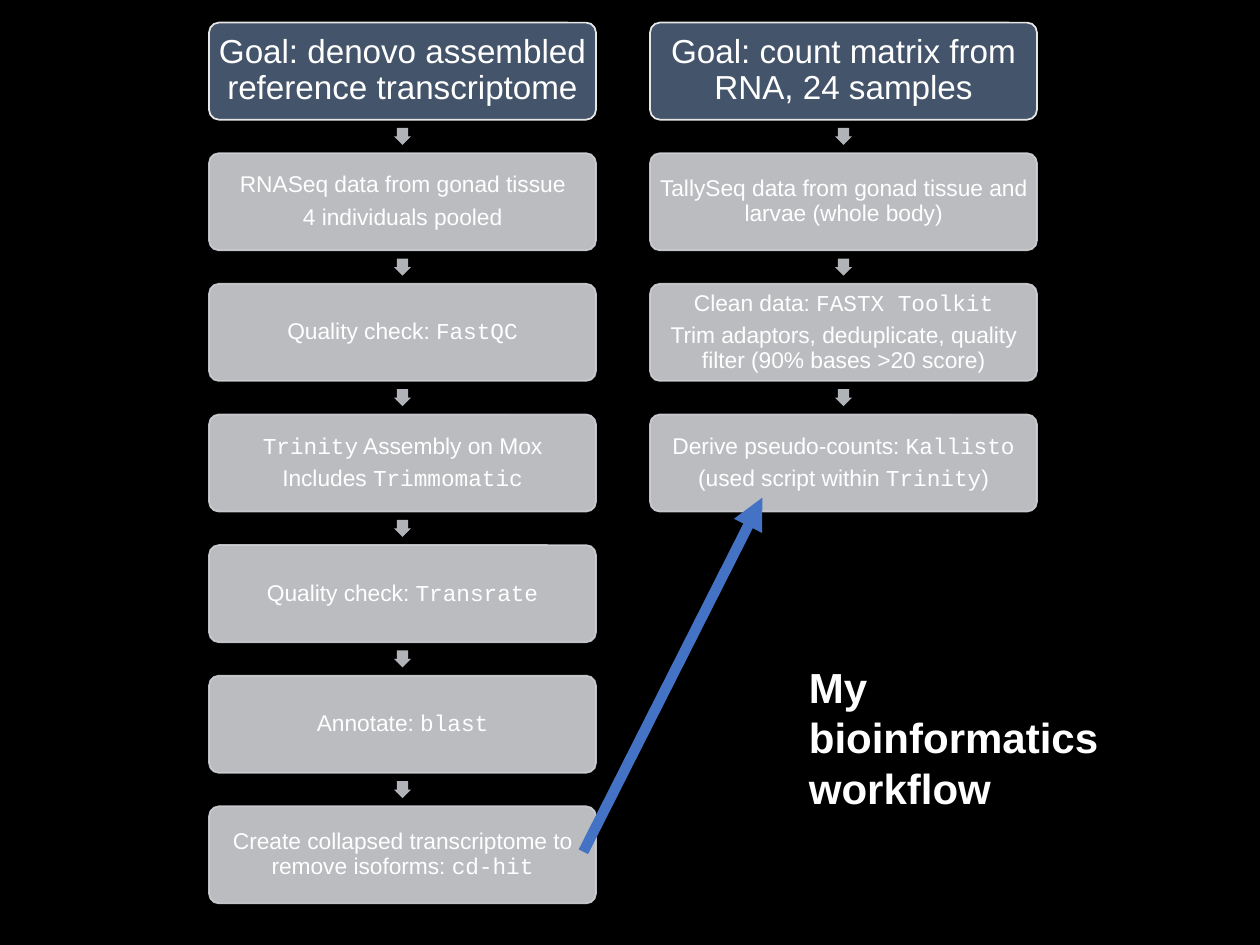
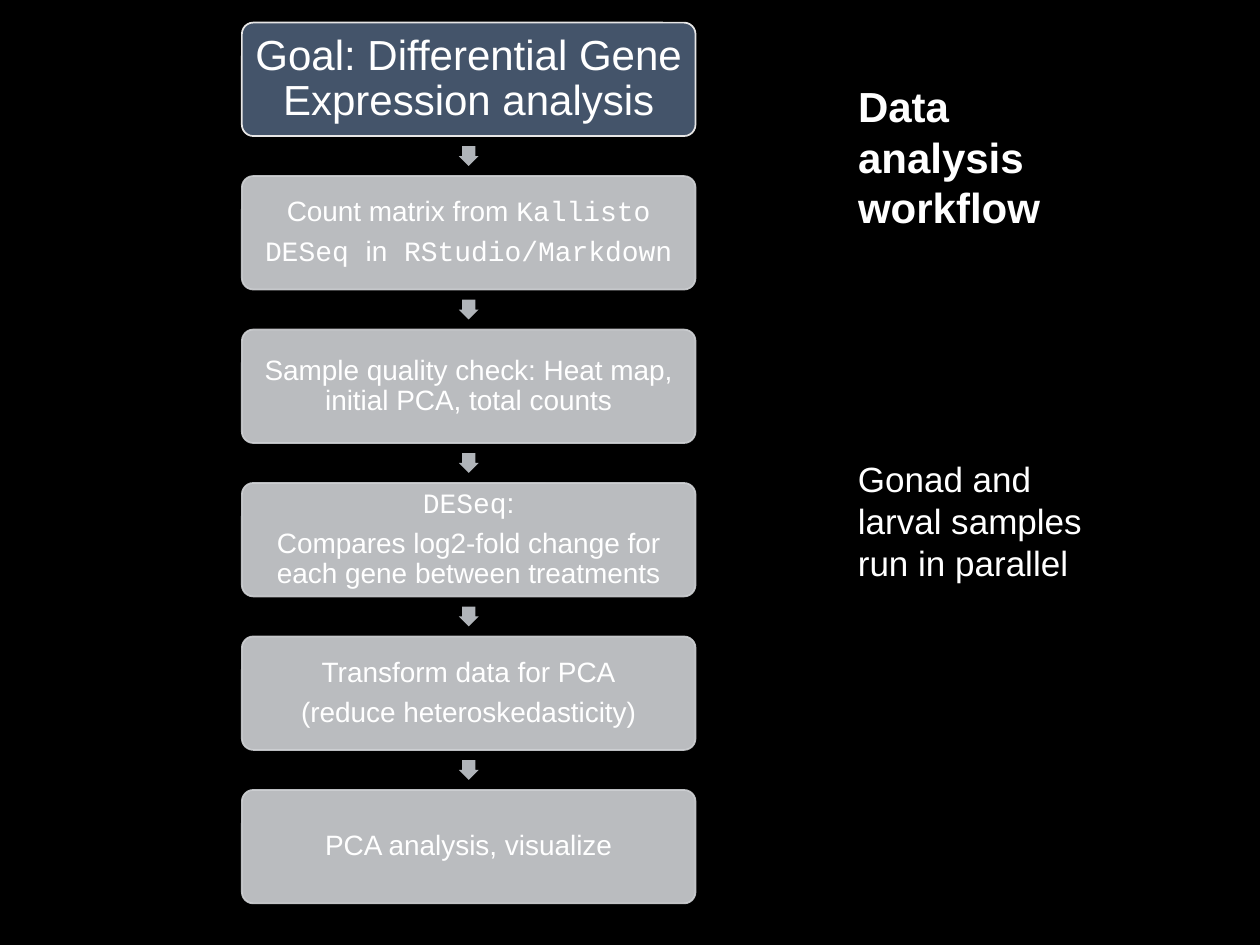
from lxml.etree import SubElement
from pptx import Presentation
from pptx.dml.color import RGBColor
from pptx.enum.shapes import MSO_CONNECTOR, MSO_SHAPE
from pptx.enum.text import MSO_ANCHOR, MSO_AUTO_SIZE, PP_ALIGN
from pptx.oxml.ns import qn
from pptx.util import Inches, Pt

BLACK = RGBColor(0x00, 0x00, 0x00)
WHITE = RGBColor(0xFF, 0xFF, 0xFF)
GOAL_FILL = RGBColor(0x44, 0x54, 0x6A)
GOAL_LINE = RGBColor(0xE7, 0xE6, 0xE6)
STEP_GRAY = RGBColor(0xCF, 0xD1, 0xD4)
ARROW_GRAY = RGBColor(0xB0, 0xB4, 0xB9)
LINK_BLUE = RGBColor(0x44, 0x72, 0xC4)

TEXT_FONT = "Arial"
CODE_FONT = "Courier New"
TITLE_ONLY = 5
FLOW_TOP = 0.18
FLOW_HEIGHT = 6.99

# Each flow is a goal and its steps; a step is a list of paragraphs.
# Backticks enclose the names of programs.
ASSEMBLY_GOAL = "Goal: denovo assembled reference transcriptome"
ASSEMBLY_STEPS = [
    ["RNASeq data from gonad tissue", "4 individuals pooled"],
    ["Quality check: `FastQC`"],
    ["`Trinity` Assembly on Mox", "Includes `Trimmomatic`"],
    ["Quality check: `Transrate`"],
    ["Annotate: `blast`"],
    ["Create collapsed transcriptome to remove isoforms: `cd-hit`"],
]
COUNTS_GOAL = "Goal: count matrix from RNA, 24 samples"
COUNTS_STEPS = [
    ["TallySeq data from gonad tissue and larvae (whole body)"],
    ["Clean data: `FASTX Toolkit`",
     "Trim adaptors, deduplicate, quality filter (90% bases >20 score)"],
    ["Derive pseudo-counts: `Kallisto`", "(used script within `Trinity`)"],
]
EXPRESSION_GOAL = "Goal: Differential Gene Expression analysis"
EXPRESSION_STEPS = [
    ["Count matrix from `Kallisto`", "`DESeq `in` RStudio/Markdown`"],
    ["Sample quality check: Heat map, initial PCA, total counts"],
    ["`DESeq`:", "Compares log2-fold change for each gene between treatments"],
    ["Transform data for PCA", "(reduce heteroskedasticity)"],
    ["PCA analysis, visualize"],
]


def add_span(para, text, size, font=TEXT_FONT, bold=False):
    span = para.add_run()
    span.text = text
    span.font.name = font
    span.font.size = Pt(size)
    span.font.bold = bold
    span.font.color.rgb = WHITE


def set_opacity(fill_parent, percent):
    color = fill_parent.find(qn("a:solidFill"))[0]
    SubElement(color, qn("a:alpha"), val=str(percent * 1000))


def add_filled_shape(page, preset, left, top, width, height, color):
    shape = page.shapes.add_shape(
        preset, Inches(left), Inches(top), Inches(width), Inches(height))
    shape.shadow.inherit = False
    shape.fill.solid()
    shape.fill.fore_color.rgb = color
    return shape


def add_flow_box(page, left, top, width, height, paragraphs, size, is_goal):
    box = add_filled_shape(page, MSO_SHAPE.ROUNDED_RECTANGLE, left, top,
                           width, height, GOAL_FILL if is_goal else STEP_GRAY)
    box.adjustments[0] = 0.1
    box.line.color.rgb = GOAL_LINE if is_goal else STEP_GRAY
    box.line.width = Pt(1)
    if not is_goal:
        properties = box._element.spPr
        set_opacity(properties, 90)
        set_opacity(properties.find(qn("a:ln")), 90)

    frame = box.text_frame
    frame.word_wrap = True
    frame.vertical_anchor = MSO_ANCHOR.MIDDLE
    inset = Inches(0.03 if is_goal else 0.02)
    frame.margin_left = frame.margin_right = inset
    frame.margin_top = frame.margin_bottom = inset
    for index, text in enumerate(paragraphs):
        para = frame.add_paragraph() if index else frame.paragraphs[0]
        para.alignment = PP_ALIGN.CENTER
        para.line_spacing = 0.9
        para.space_after = Pt(0.35 * size)
        for part, words in enumerate(text.split("`")):
            if words:
                add_span(para, words, size, CODE_FONT if part % 2 else TEXT_FONT)


def add_flow(page, left, width, box_height, rows, goal, steps, goal_size, step_size):
    """Stack a goal and its steps on a grid of rows, with arrows in the gaps."""
    pitch = (FLOW_HEIGHT - box_height) / (rows - 1)
    arrow = 0.175 * box_height
    for row, paragraphs in enumerate([[goal], *steps]):
        top = FLOW_TOP + row * pitch
        is_goal = row == 0
        if not is_goal:
            gap_middle = top - (pitch - box_height) / 2
            pointer = add_filled_shape(
                page, MSO_SHAPE.DOWN_ARROW, left + (width - arrow) / 2,
                gap_middle - arrow / 2, arrow, arrow, ARROW_GRAY)
            pointer.adjustments[0] = 0.67
            pointer.adjustments[1] = 0.5
            pointer.line.fill.background()
        add_flow_box(page, left, top, width, box_height, paragraphs,
                     goal_size if is_goal else step_size, is_goal)


def fill_side_text(box, left, top, width, height, text, size, bold=False):
    box.left, box.top = Inches(left), Inches(top)
    box.width, box.height = Inches(width), Inches(height)
    frame = box.text_frame
    frame.word_wrap = True
    frame.auto_size = MSO_AUTO_SIZE.SHAPE_TO_FIT_TEXT
    frame.vertical_anchor = MSO_ANCHOR.TOP
    para = frame.paragraphs[0]
    para.alignment = PP_ALIGN.LEFT
    para.line_spacing = Pt(1.2 * size)
    add_span(para, text, size, bold=bold)


def add_page(deck, title, left, top, width):
    page = deck.slides.add_slide(deck.slide_layouts[TITLE_ONLY])
    fill_side_text(page.shapes.title, left, top, width, 1.31, title, 24, bold=True)
    return page


def add_link(page, start, end):
    link = page.shapes.add_connector(
        MSO_CONNECTOR.STRAIGHT, *(Inches(value) for value in (*start, *end)))
    link.line.color.rgb = LINK_BLUE
    link.line.width = Pt(6)
    properties = link._element.spPr
    SubElement(properties.find(qn("a:ln")), qn("a:tailEnd"), type="triangle")
    SubElement(properties, qn("a:effectLst"))


def build_bioinformatics(deck):
    page = add_page(deck, "My bioinformatics workflow", 6.32, 5.2, 2.56)
    flows = [(1.66, ASSEMBLY_GOAL, ASSEMBLY_STEPS),
             (5.16, COUNTS_GOAL, COUNTS_STEPS)]
    for left, goal, steps in flows:
        add_flow(page, left, 3.07, 0.77, 7, goal, steps, 19, 13)
    # The collapsed transcriptome feeds the pseudo-counts
    add_link(page, (4.63, 6.76), (6.05, 3.95))


def build_data_analysis(deck):
    page = add_page(deck, "Data analysis workflow", 6.71, 0.59, 1.99)
    add_flow(page, 1.92, 3.6, 0.9, 6, EXPRESSION_GOAL, EXPRESSION_STEPS, 24, 16)
    note = page.shapes.add_textbox(0, 0, 0, 0)
    fill_side_text(note, 6.71, 3.58, 1.99, 1.11,
                   "Gonad and larval samples run in parallel", 20)


def main():
    deck = Presentation()
    deck.slide_width, deck.slide_height = Inches(10), Inches(7.5)
    background = deck.slide_master.background.fill
    background.solid()
    background.fore_color.rgb = BLACK
    build_bioinformatics(deck)
    build_data_analysis(deck)
    deck.save("out.pptx")


if __name__ == "__main__":
    main()
